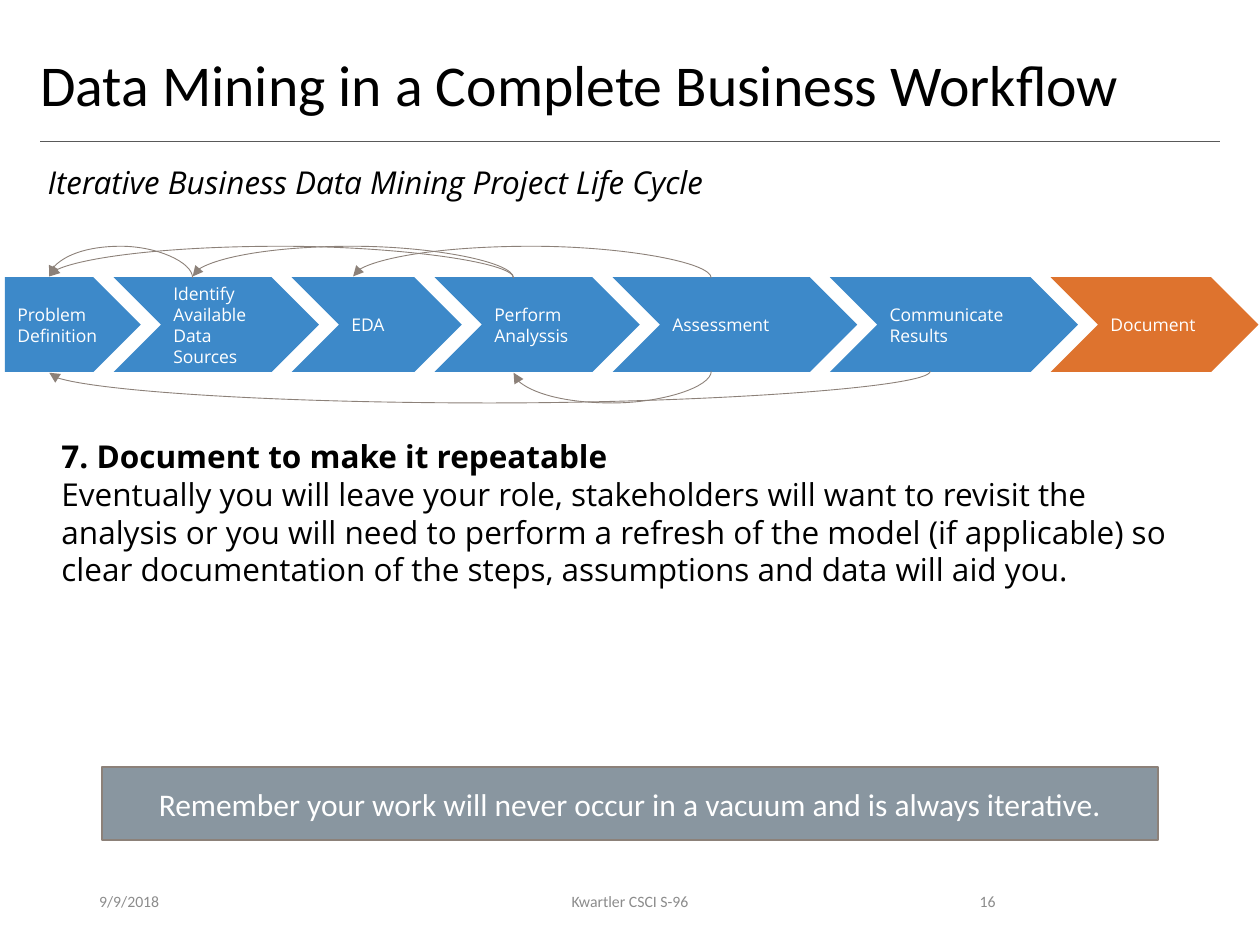
from lxml.etree import SubElement
from pptx import Presentation
from pptx.dml.color import RGBColor
from pptx.enum.shapes import MSO_CONNECTOR, MSO_SHAPE
from pptx.enum.text import MSO_ANCHOR, PP_ALIGN
from pptx.oxml.ns import qn
from pptx.util import Cm, Pt

BLACK = RGBColor(0x00, 0x00, 0x00)
WHITE = RGBColor(0xFF, 0xFF, 0xFF)
GREY = RGBColor(0x8C, 0x8C, 0x8C)
RULE = RGBColor(0x59, 0x59, 0x59)
BLUE = RGBColor(0x3D, 0x89, 0xC9)
ORANGE = RGBColor(0xDE, 0x73, 0x2E)
SLATE = RGBColor(0x89, 0x96, 0xA0)
TAUPE = RGBColor(0x8C, 0x81, 0x79)
HEAD_FONT, BODY_FONT = "Calibri", "Open Sans"

STEPS = [("Problem Definition", 2.74), ("Identify Available Data Sources", 4.14),
         ("EDA", 3.43), ("Perform Analyssis", 4.14), ("Assessment", 4.93),
         ("Communicate Results", 5.0), ("Document", 4.19)]
LOOPS_ABOVE = [(1, 0), (3, 1), (3, 0), (4, 2)]
LOOPS_BELOW = [(5, 0), (4, 3)]


def add_run(p, text, size, font, color, bold=False, italic=False):
    """Append one formatted run to a paragraph."""
    r = p.add_run()
    r.text = text
    r.font.size, r.font.name = Pt(size), font
    r.font.bold, r.font.italic = bold, italic
    r.font.color.rgb = color


def set_frame(sp, anchor=MSO_ANCHOR.TOP, inset=0.13):
    """Wrap the text of a shape and set its anchor and vertical insets."""
    tf = sp.text_frame
    tf.word_wrap = True
    tf.vertical_anchor = anchor
    tf.margin_left = tf.margin_right = Cm(0.25)
    tf.margin_top = tf.margin_bottom = Cm(inset)
    return tf


def add_text(s, box, anchor=MSO_ANCHOR.TOP, inset=0.13):
    """Add a text box and return its text frame."""
    return set_frame(s.shapes.add_textbox(*map(Cm, box)), anchor, inset)


def add_block(s, kind, box, fill):
    """Add a filled preset shape without outline or shadow."""
    sp = s.shapes.add_shape(kind, *map(Cm, box))
    sp.shadow.inherit = False
    sp.fill.solid()
    sp.fill.fore_color.rgb = fill
    sp.line.fill.background()
    return sp


def style_line(line, color):
    """Give a connector a thin line and no shadow."""
    line.line.color.rgb = color
    line.line.width = Pt(0.5)
    SubElement(line._element.spPr, qn("a:effectLst"))


def add_header(s, left, top, width):
    """Place the title, the rule below it and the subtitle."""
    p = add_text(s, (left, top, width, 1.65)).paragraphs[0]
    p.line_spacing = 0.9
    add_run(p, "Data Mining in a Complete Business Workflow", 33, HEAD_FONT, BLACK)
    y = Cm(top + 1.83)
    rule = s.shapes.add_connector(MSO_CONNECTOR.STRAIGHT, Cm(left + 0.25), y,
                                  Cm(left + 24.03), y)
    style_line(rule, RULE)
    p = add_text(s, (left + 0.15, top + 2.23, width + 0.5, 0.9)).paragraphs[0]
    p.line_spacing = 0.9
    add_run(p, "Iterative Business Data Mining Project Life Cycle", 18, BODY_FONT,
            BLACK, italic=True)


def add_loop(s, source, target, above):
    """Draw a curved arrow from one step back to an earlier one."""
    site, rise, bulge = (0 if above else 2), 0.03, 0.64
    start, end = (sp.left + (sp.width - sp.height // 2) // 2 for sp in (source, target))
    y = source.top if above else source.top + source.height
    loop = s.shapes.add_connector(MSO_CONNECTOR.CURVE, start, y, end, y)
    loop.begin_connect(source, site)
    loop.end_connect(target, site)
    loop.width, loop.height = Cm(rise), start - end
    loop.left = (start + end - loop.width) // 2
    loop.top = y - loop.height // 2
    xfrm = loop._element.spPr.find(qn("a:xfrm"))
    xfrm.set("rot", str((270 if above else 90) * 60000))
    xfrm.set("flipH", "0")
    xfrm.set("flipV", "1" if above else "0")
    geom = loop._element.spPr.find(qn("a:prstGeom"))
    adjust = geom.find(qn("a:avLst"))
    SubElement(adjust, qn("a:gd"), name="adj1", fmla=f"val {round(bulge / rise * 100000)}")
    style_line(loop, TAUPE)
    SubElement(loop.line._get_or_add_ln(), qn("a:tailEnd"), type="triangle")


def add_workflow(s, left, top, height):
    """Place the chain of steps and the arrows that lead back."""
    overlap, steps = 0.55, []
    for i, (name, width) in enumerate(STEPS):
        kind = MSO_SHAPE.CHEVRON if i else MSO_SHAPE.PENTAGON
        fill = ORANGE if i == len(STEPS) - 1 else BLUE
        sp = add_block(s, kind, (left, top, width, height), fill)
        p = set_frame(sp, MSO_ANCHOR.MIDDLE, 0.25).paragraphs[0]
        p.alignment = PP_ALIGN.LEFT
        add_run(p, name, 10, BODY_FONT, WHITE)
        steps.append(sp)
        left += width - overlap
    for loops, above in ((LOOPS_ABOVE, True), (LOOPS_BELOW, False)):
        for source, target in loops:
            add_loop(s, steps[source], steps[target], above)


def add_body(s, box):
    """Place the numbered heading and its explanation."""
    tf = add_text(s, box, inset=0.25)
    heading, detail = tf.paragraphs[0], tf.add_paragraph()
    for p in (heading, detail):
        p._p.get_or_add_pPr().set("marL", str(Cm(0.43)))
    add_run(heading, "7. Document to make it repeatable", 18, BODY_FONT, BLACK, bold=True)
    add_run(detail, "Eventually you will leave your role, stakeholders will want to "
            "revisit the analysis or you will need to perform a refresh of the model "
            "(if applicable) so clear documentation of the steps, assumptions and data "
            "will aid you.", 18, BODY_FONT, BLACK)


def add_banner(s, box):
    """Place the closing reminder."""
    sp = add_block(s, MSO_SHAPE.RECTANGLE, box, SLATE)
    sp.line.color.rgb = TAUPE
    sp.line.width = Pt(1)
    p = set_frame(sp, MSO_ANCHOR.MIDDLE).paragraphs[0]
    p.alignment = PP_ALIGN.CENTER
    add_run(p, "Remember your work will never occur in a vacuum and is always iterative.",
            18, HEAD_FONT, WHITE)


def add_footer(s, left, top, height):
    """Place the date, the course and the slide number."""
    for dx, width, text, align in (
            (0, 5.72, "9/9/2018", PP_ALIGN.LEFT),
            (6.66, 8.58, "Kwartler CSCI S-96", PP_ALIGN.CENTER),
            (16.18, 2.39, "16", PP_ALIGN.RIGHT)):
        p = add_text(s, (left + dx, top, width, height), MSO_ANCHOR.MIDDLE).paragraphs[0]
        p.alignment = align
        add_run(p, text, 9, HEAD_FONT, GREY)


def main():
    """Build the slide and save it."""
    prs = Presentation()
    prs.slide_width, prs.slide_height = Cm(25.4), Cm(19.05)
    s = prs.slides.add_slide(prs.slide_layouts[6])
    add_header(s, 0.56, 1.02, 23.09)
    add_workflow(s, 0.1, 5.59, 1.91)
    add_body(s, (0.56, 8.56, 23.47, 5.82))
    add_banner(s, (2.06, 15.47, 21.28, 1.47))
    add_footer(s, 1.75, 17.65, 1.02)
    prs.save("out.pptx")


if __name__ == "__main__":
    main()
